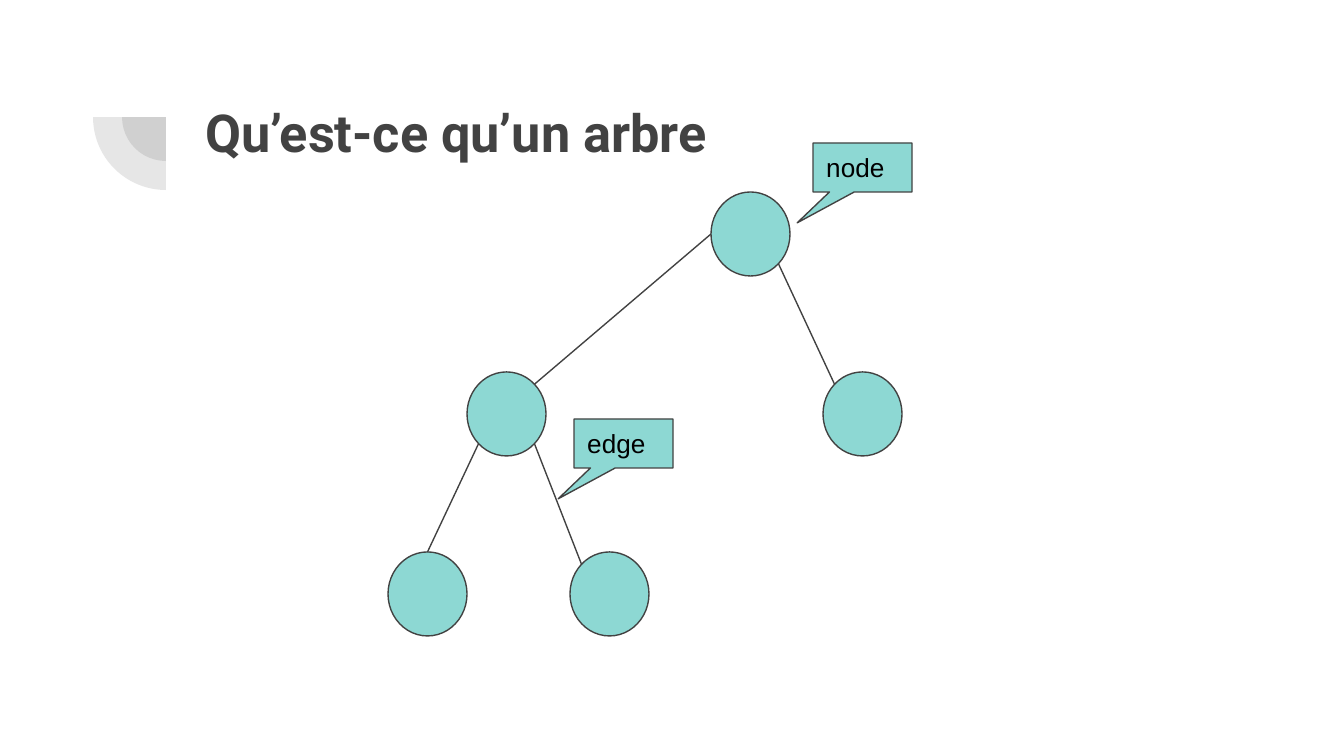
from math import cos, radians, sin
from typing import NamedTuple

from lxml import etree
from pptx import Presentation
from pptx import util as u
from pptx.dml.color import RGBColor
from pptx.enum import shapes, text
from pptx.oxml.ns import qn

DARK, TEAL, BLACK = "424242", "8DD8D3", "000000"
WIDE, HIGH = 79, 84
SHAPE = shapes.MSO_SHAPE


class Node(NamedTuple):
    x: int
    y: int


class Edge(NamedTuple):
    top: Node
    out: int
    low: Node
    into: int


class Label(NamedTuple):
    x: int
    y: int
    word: str


def px(n: float) -> int:
    return u.Emu(round(n * 914400 / 134.4))


def rgb(code: str) -> RGBColor:
    return RGBColor.from_string(code)


def add(kind, x: int, y: int, w: int, h: int, fill: str = TEAL, line: str = DARK):
    shape = slide.shapes.add_shape(kind, px(x), px(y), px(w), px(h))
    shape.shadow.inherit = False
    shape.fill.solid()
    shape.fill.fore_color.rgb = rgb(fill)
    if line:
        shape.line.color.rgb = rgb(line)
        shape.line.width = u.Pt(0.75)
    else:
        shape.line.fill.background()
    return shape


def write(shape, words: str, *, size: int, font: str, color: str,
          bold: bool = False, anchor=text.MSO_ANCHOR.TOP) -> None:
    frame = shape.text_frame
    frame.word_wrap = True
    frame.vertical_anchor = anchor
    frame.margin_left = frame.margin_right = u.Inches(0.1)
    frame.margin_top = frame.margin_bottom = u.Inches(0.1)
    para = frame.paragraphs[0]
    para.alignment = text.PP_ALIGN.LEFT
    run = para.add_run()
    run.text = words
    run.font.size = u.Pt(size)
    run.font.name = font
    run.font.bold = bold
    run.font.color.rgb = rgb(color)


def draw_arc(mid: Node, radius: int) -> None:
    pie = add(SHAPE.PIE, mid.x - radius, mid.y - radius,
              2 * radius, 2 * radius, DARK, "")
    pie.rotation = 270
    pie.adjustments[0], pie.adjustments[1] = 108, 162
    tint = pie.fill._xPr.find(qn("a:solidFill"))[0]
    etree.SubElement(tint, qn("a:alpha"), val="13000")


def draw_node(node: Node) -> None:
    add(SHAPE.OVAL, node.x, node.y, WIDE, HIGH)


def rim(node: Node, angle: int) -> tuple[int, int]:
    turn = radians(angle)
    return (px(node.x + WIDE / 2 * (1 + cos(turn))),
            px(node.y + HIGH / 2 * (1 + sin(turn))))


def draw_edge(edge: Edge) -> None:
    line = slide.shapes.add_connector(
        shapes.MSO_CONNECTOR.STRAIGHT,
        *rim(edge.top, edge.out), *rim(edge.low, edge.into))
    line.line.color.rgb = rgb(DARK)
    line.line.width = u.Pt(0.75)
    etree.SubElement(line._element.spPr, qn("a:effectLst"))


def draw_label(label: Label) -> None:
    box = add(SHAPE.RECTANGULAR_CALLOUT, label.x, label.y, 99, 49)
    box.adjustments[0], box.adjustments[1] = -0.66, 1.13
    write(box, label.word, size=14, font="Arial", color=BLACK,
          anchor=text.MSO_ANCHOR.MIDDLE)


deck = Presentation()
deck.slide_width, deck.slide_height = px(1344), px(756)
slide = deck.slides.add_slide(deck.slide_layouts[6])

for radius in (44, 73):
    draw_arc(Node(166, 117), radius)

title = slide.shapes.add_textbox(px(192), px(87), px(1034), px(146))
write(title, "Qu’est-ce qu’un arbre", size=28, font="Roboto", color=DARK, bold=True)

root = Node(711, 192)
right, left = Node(823, 372), Node(467, 372)
leaves = Node(570, 552), Node(388, 552)
for node in (root, right, left, *leaves):
    draw_node(node)

for edge in (
    Edge(root, 180, left, 315),
    Edge(left, 135, leaves[1], 270),
    Edge(left, 45, leaves[0], 225),
    Edge(root, 45, right, 225),
):
    draw_edge(edge)

for label in (Label(813, 143, "node"), Label(574, 419, "edge")):
    draw_label(label)

deck.save("out.pptx")
